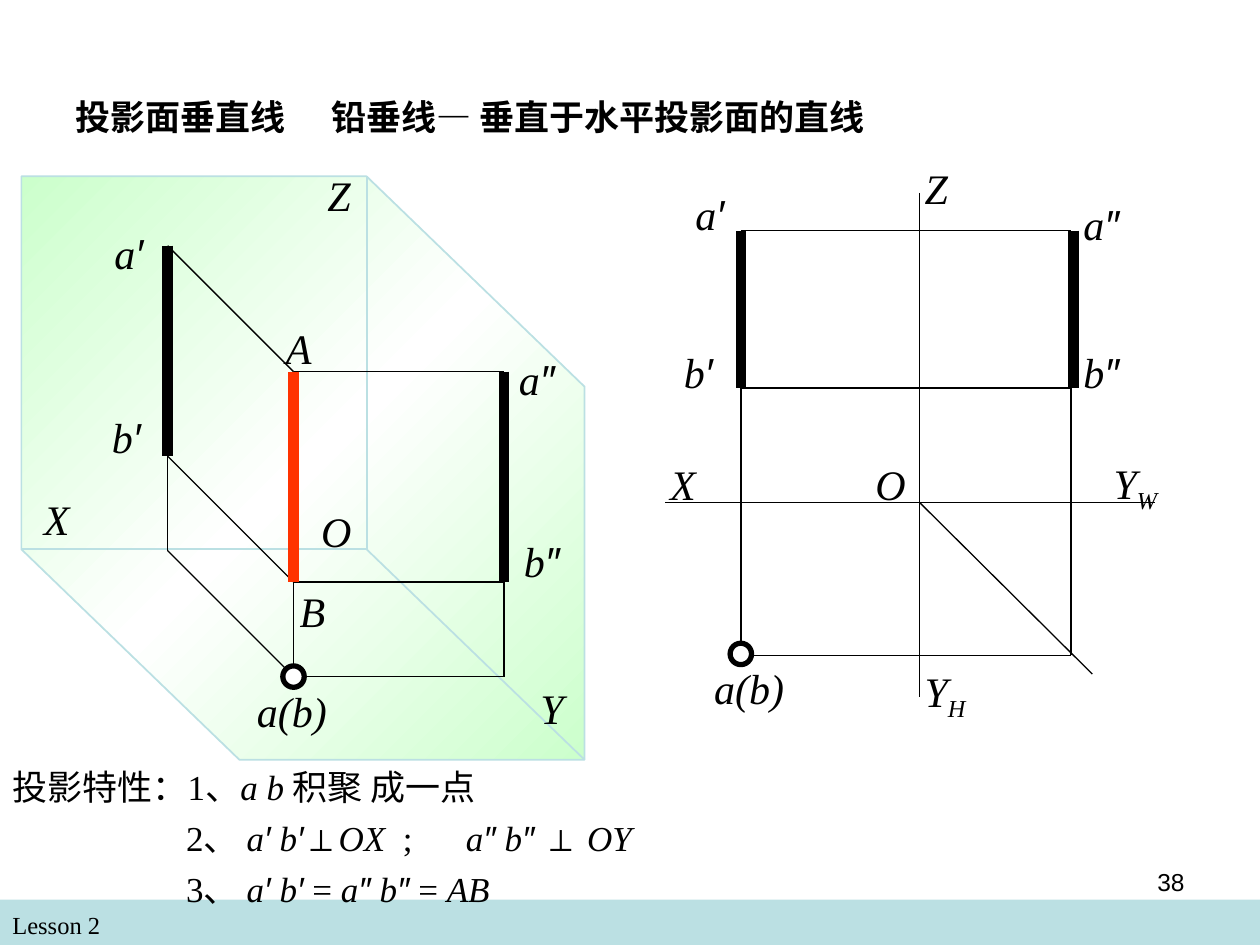
from copy import deepcopy
from itertools import groupby
from pptx import Presentation
from pptx.dml.color import RGBColor
from pptx.enum.shapes import MSO_CONNECTOR as Conn, MSO_SHAPE as Shape
from pptx.enum.text import MSO_ANCHOR as Anchor, PP_ALIGN as Align
from pptx.oxml.ns import qn
from pptx.oxml.xmlchemy import OxmlElement as Elem
from pptx.util import Inches, Pt

ROMAN, SANS, HAN = "Times New Roman", "Arial", "Noto Sans CJK SC"
BLACK, WHITE, TEAL, GREEN, RED = "000000", "FFFFFF", "BBE0E3", "CCFFCC", "FF3300"
THIN, THICK = 0.75, 6


def rgb(code):
    return RGBColor.from_string(code)


def put(obj, **vals):
    for key, val in vals.items():
        setattr(obj, key, val)


def add_run(para, text, name=ROMAN, size=24, **vals):
    run = para.add_run()
    run.text = text
    put(run.font, name=name, size=Pt(size), **vals)
    run.font.color.rgb = rgb(BLACK)
    east = Elem("a:ea")
    east.set("typeface", HAN)
    run.font._element.append(east)
    return run


def add_box(slide, x, y, w, h, **vals):
    frame = slide.shapes.add_textbox(*map(Inches, (x, y, w, h))).text_frame
    put(frame, word_wrap=True, **vals)
    return frame


def add_tabs(para, *stops):
    tabs = Elem("a:tabLst")
    for stop in stops:
        tab = Elem("a:tab")
        tab.set("pos", str(Inches(stop)))
        tab.set("algn", "l")
        tabs.append(tab)
    para._p.get_or_add_pPr().append(tabs)


def add_math(para, text, size):
    """Set letters and primes in italics, and other signs upright."""
    def style(char):
        return (SANS if char in "′″⊥" else ROMAN,
                char in "′″" or char.isascii() and char.isalpha())

    for (name, slant), chars in groupby(text, style):
        add_run(para, "".join(chars), name, size, italic=slant)


def add_label(slide, text, x, y, w):
    """Write a point or axis name; the part after _ is a subscript."""
    para = add_box(slide, x, y, w, 0.5).paragraphs[0]
    main, _, sub = text.partition("_")
    stem = main.rstrip("′″")
    add_run(para, stem, italic=True)
    if main != stem:
        add_run(para, main[len(stem):], SANS, italic=True)
    if sub:
        run = add_run(para, sub, italic=True)
        run.font._element.set("baseline", "-25000")


def add_line(slide, x1, y1, x2, y2, width=THIN, color=BLACK):
    line = slide.shapes.add_connector(Conn.STRAIGHT, *map(Inches, (x1, y1, x2, y2)))
    line.line.width = Pt(width)
    line.line.color.rgb = rgb(color)
    line._element.spPr.append(Elem("a:effectLst"))


def add_lines(slide, x, y, lines, *style):
    for x1, y1, x2, y2 in lines:
        add_line(slide, x + x1, y + y1, x + x2, y + y2, *style)


def add_labels(slide, x, y, labels):
    for text, dx, dy, w in labels:
        add_label(slide, text, x + dx, y + dy, w)


def add_dot(slide, x, y, size=0.17):
    dot = slide.shapes.add_shape(
        Shape.OVAL, *map(Inches, (x - size / 2, y - size / 2, size, size)))
    dot.shadow.inherit = False
    dot.fill.solid()
    dot.fill.fore_color.rgb = rgb(WHITE)
    dot.line.color.rgb = rgb(BLACK)
    dot.line.width = Pt(3)


def add_planes(slide, x, y, w, h):
    """Draw the three projection planes, unfolded from the corner O."""
    ox, oy = 2.74, 2.96
    dots = [(0, 0), (0, oy), (w - ox, h), (w, h), (w, h - oy), (ox, 0)]
    pts = [(Inches(x + dx), Inches(y + dy)) for dx, dy in dots]
    build = slide.shapes.build_freeform(*pts[0])
    build.add_line_segments(pts[1:], close=True)
    form = build.convert_to_shape()
    form.shadow.inherit = False
    form.line.color.rgb = rgb(TEAL)
    form.line.width = Pt(1)
    fill = form.fill
    fill.gradient()
    fill.gradient_angle = 135
    first = form._element.spPr.find(".//" + qn("a:gs"))
    first.addnext(deepcopy(first))
    for stop, pos, color in zip(fill.gradient_stops, (0, 0.5, 1), (GREEN, WHITE, GREEN)):
        stop.position = pos
        stop.color.rgb = rgb(color)
    add_lines(slide, x, y, [(0, oy, ox, oy), (w, h, ox, oy), (ox, 0, ox, oy)], 1, TEAL)


def draw_space(slide, x, y, w, h):
    add_planes(slide, x, y, w, h)
    back, mid, side = 1.16, 2.16, 3.83
    top, low, base = 0.55, 2.22, 2.97
    drop = mid - back
    add_labels(slide, x, y, [
        ("O", 2.28, 2.56, 0.71), ("X", 0.08, 2.47, 0.52),
        ("Z", 2.33, -0.1, 1.01), ("Y", 4.02, 3.97, 0.64),
        ("a′", 0.64, 0.36, 0.73), ("b′", 0.62, 1.82, 0.73),
        ("a″", 3.85, 1.36, 0.73), ("b″", 3.89, 2.8, 0.73),
        ("a(b)", 1.77, 3.99, 1.17)])
    for lev in (top, low, base):
        add_lines(slide, x, y, [(back, lev, mid, lev + drop),
                                (mid, lev + drop, side, lev + drop)])
    add_lines(slide, x, y, [(back, low, back, base)] + [
        (col, low + drop, col, base + drop) for col in (mid, side)])
    add_lines(slide, x, y, [(back, top, back, low),
                            (side, top + drop, side, low + drop)], THICK)
    add_labels(slide, x, y, [("A", 2, 1.11, 0.73), ("B", 2.11, 3.2, 0.73)])
    add_lines(slide, x, y, [(mid, top + drop, mid, low + drop)], THICK, RED)
    add_dot(slide, x + mid, y + base + drop)


def draw_views(slide, x, y, w, h):
    left, right, ox, oy = 0.6, 3.22, 2.02, 2.75
    top, low, base = 0.59, 1.84, 3.96
    add_lines(slide, x, y, [(0, oy, w, oy), (ox, 0.29, ox, h),
                            (ox, oy, ox + 1.37, oy + 1.36)])
    add_lines(slide, x, y, [(left, lev, right, lev) for lev in (top, low, base)])
    add_lines(slide, x, y, [(col, low, col, base) for col in (left, right)])
    add_lines(slide, x, y, [(col, top, col, low) for col in (left, right + 0.02)], THICK)
    add_labels(slide, x, y, [
        ("Z", 1.96, 0, 0.68), ("X", -0.06, 2.35, 0.54), ("O", 1.57, 2.35, 0.53),
        ("Y_H", 1.96, 3.99, 0.83), ("Y_W", 3.46, 2.34, 0.83),
        ("a′", 0.14, 0.21, 0.95), ("b′", 0.05, 1.46, 0.95),
        ("a″", 3.22, 0.29, 0.75), ("b″", 3.22, 1.46, 1.09),
        ("a(b)", 0.29, 3.97, 1.15)])
    add_dot(slide, x + left, y + base - 0.01)


def write_title(slide, *box):
    para = add_box(slide, *box, vertical_anchor=Anchor.MIDDLE).paragraphs[0]
    add_tabs(para, 2.03)
    add_run(para, "投影面垂直线\t铅垂线— 垂直于水平投影面的直线", HAN, 20, bold=True)


def write_rules(slide, *box):
    frame = add_box(slide, *box)
    rows = ["投影特性：1、a b 积聚 成一点",
            "\t2、 a′ b′⊥OX  ;\ta″ b″ ⊥ OY",
            "\t3、 a′ b′ = a″ b″ = AB"]
    for num, row in enumerate(rows):
        para = frame.add_paragraph() if num else frame.paragraphs[0]
        if num:
            para.space_before = Pt(5)
            add_tabs(para, 1.38, 3.6)
        add_math(para, row, 20)


def draw_footer(slide, x, y, w, h):
    bar = slide.shapes.add_shape(Shape.RECTANGLE, *map(Inches, (x, y, w, h)))
    bar.shadow.inherit = False
    bar.fill.solid()
    bar.fill.fore_color.rgb = rgb(TEAL)
    bar.line.fill.background()
    add_run(add_box(slide, x, y + 0.03, 4.83, 0.34).paragraphs[0], "Lesson 2", size=14)
    para = add_box(slide, x + 7.17, y - 0.31, 2.33, 0.52).paragraphs[0]
    para.alignment = Align.RIGHT
    add_run(para, "38", SANS, 14)


def main():
    deck = Presentation()
    put(deck, slide_width=Inches(10), slide_height=Inches(7.5))
    slide = deck.slides.add_slide(deck.slide_layouts[6])
    draw_footer(slide, 0, 7.14, 10, 0.36)
    write_title(slide, 0.5, 0.3, 9, 1.25)
    draw_space(slide, 0.17, 1.4, 4.47, 4.63)
    draw_views(slide, 5.28, 1.24, 3.89, 4.29)
    write_rules(slide, 0, 6.03, 10, 1.24)
    deck.save("out.pptx")


if __name__ == "__main__":
    main()
